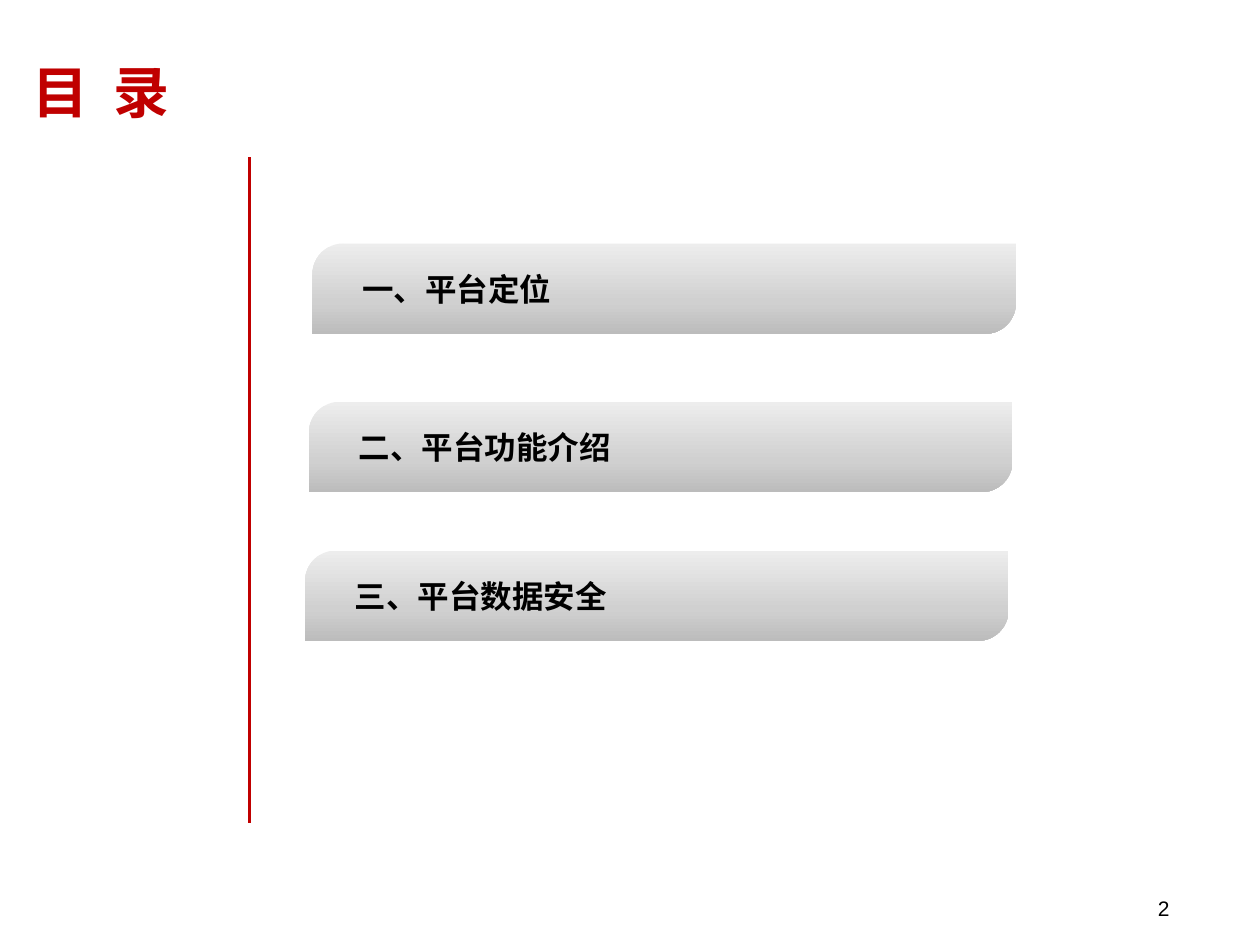
"""Build the contents slide with three section bars beside a red rule."""
from copy import deepcopy
from dataclasses import dataclass

from lxml.etree import SubElement
from pptx import Presentation
from pptx.dml.color import RGBColor
from pptx.enum.shapes import MSO_CONNECTOR, MSO_SHAPE
from pptx.enum.text import MSO_ANCHOR, PP_ALIGN
from pptx.oxml.ns import qn
from pptx.util import Cm, Pt


@dataclass(frozen=True)
class Theme:
    red: RGBColor = RGBColor(0xC0, 0x00, 0x00)
    black: RGBColor = RGBColor(0x00, 0x00, 0x00)
    bar_stops: tuple = ((0, "EDEDED"), (0.65, "D0D0D0"), (1, "BCBCBC"))
    heading_font: str = "Noto Sans CJK SC"
    number_font: str = "Arial"
    title_size: int = 32
    bar_size: int = 18
    number_size: int = 12


theme = Theme()


def add_span(para, text, font, size, color, bold=False):
    span = para.add_run()
    span.text = text
    span.font.name = font
    span.font.size = Pt(size)
    span.font.bold = bold
    span.font.color.rgb = color
    SubElement(span.font._element, qn("a:ea"), typeface=font)
    return span


deck = Presentation()
deck.slide_width, deck.slide_height = Cm(25.4), Cm(19.05)
page = deck.slides.add_slide(deck.slide_layouts[6])

title_box = page.shapes.add_textbox(Cm(0.41), Cm(0.58), Cm(4.6), Cm(2.51))
title_box.text_frame.word_wrap = True
title_box.text_frame.vertical_anchor = MSO_ANCHOR.MIDDLE
title_para = title_box.text_frame.paragraphs[0]
for text, spacing in (("目", 0), (" ", 7), ("录", 0)):
    span = add_span(title_para, text, theme.heading_font, theme.title_size, theme.red, True)
    span.font._element.set("spc", str(spacing * 100))

rule = page.shapes.add_connector(MSO_CONNECTOR.STRAIGHT, Cm(5.03), Cm(3.17), Cm(5.03), Cm(16.59))
rule.line.color.rgb = theme.red
rule.line.width = Pt(2.25)
SubElement(rule._element.spPr, qn("a:effectLst"))

number_box = page.shapes.add_textbox(Cm(23.09), Cm(17.93), Cm(1.09), Cm(0.79))
number_box.text_frame.word_wrap = True
add_span(number_box.text_frame.paragraphs[0], "2", theme.number_font, theme.number_size, theme.black)

sections = (
    ("一、平台定位", 6.3, 4.91),
    ("二、平台功能介绍", 6.23, 8.1),
    ("三、平台数据安全", 6.15, 11.1),
)
for text, left, top in sections:
    bar = page.shapes.add_shape(MSO_SHAPE.ROUND_2_DIAG_RECTANGLE, Cm(left), Cm(top), Cm(14.18), Cm(1.82))
    bar.adjustments[0] = 0.34
    bar.adjustments[1] = 0
    bar.shadow.inherit = False
    bar.line.fill.background()

    bar.fill.gradient()
    bar.fill.gradient_angle = 270
    stop_list = bar._element.spPr.find(qn("a:gradFill")).find(qn("a:gsLst"))
    stop_list.append(deepcopy(stop_list[0]))
    for stop, (position, color) in zip(bar.fill.gradient_stops, theme.bar_stops):
        stop.position = position
        stop.color.rgb = RGBColor.from_string(color)

    frame = bar.text_frame
    frame.word_wrap = True
    frame.vertical_anchor = MSO_ANCHOR.MIDDLE
    frame.margin_left = Cm(0.82)
    para = frame.paragraphs[0]
    para.alignment = PP_ALIGN.LEFT
    add_span(para, text, theme.heading_font, theme.bar_size, theme.black, True)

deck.save("out.pptx")
